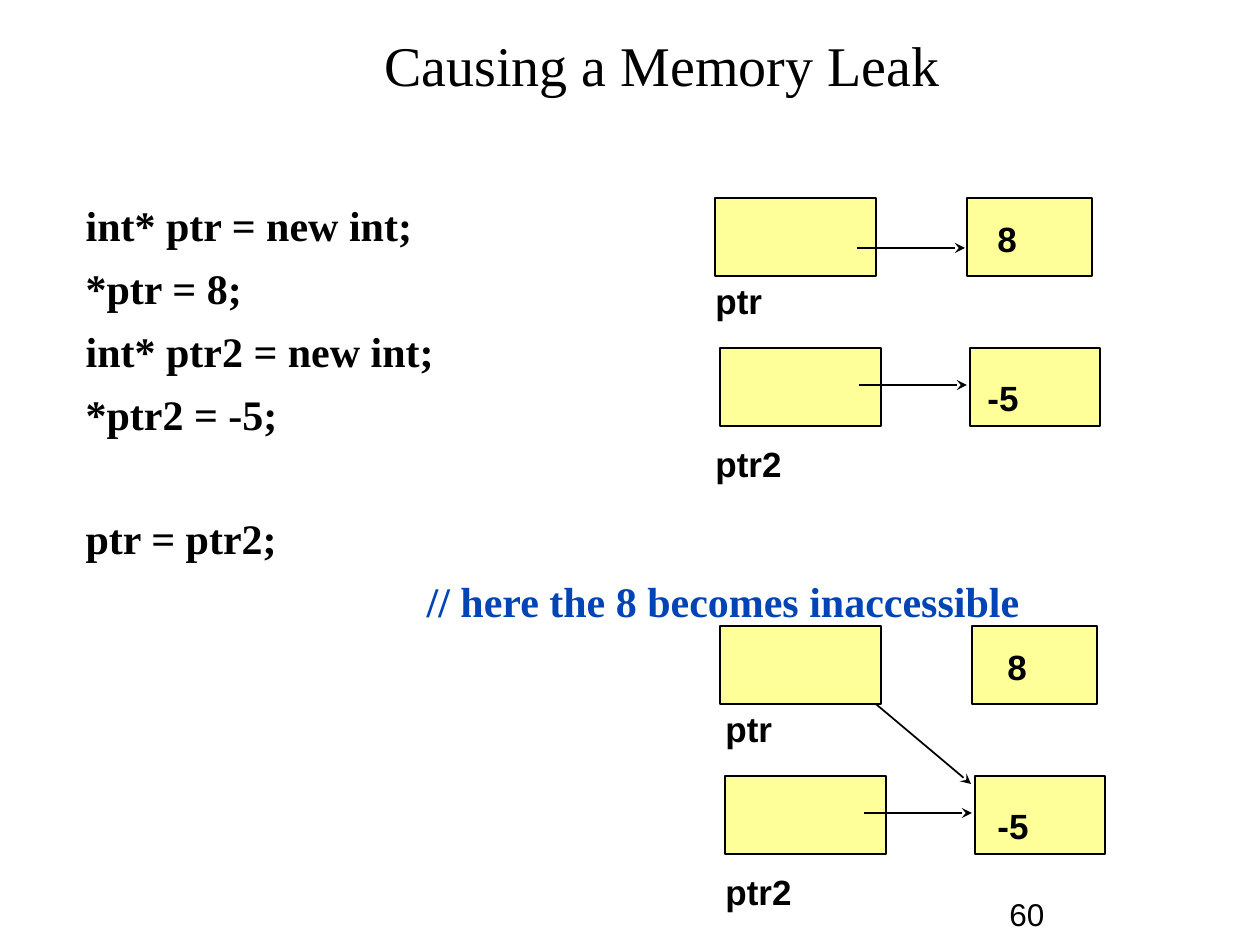
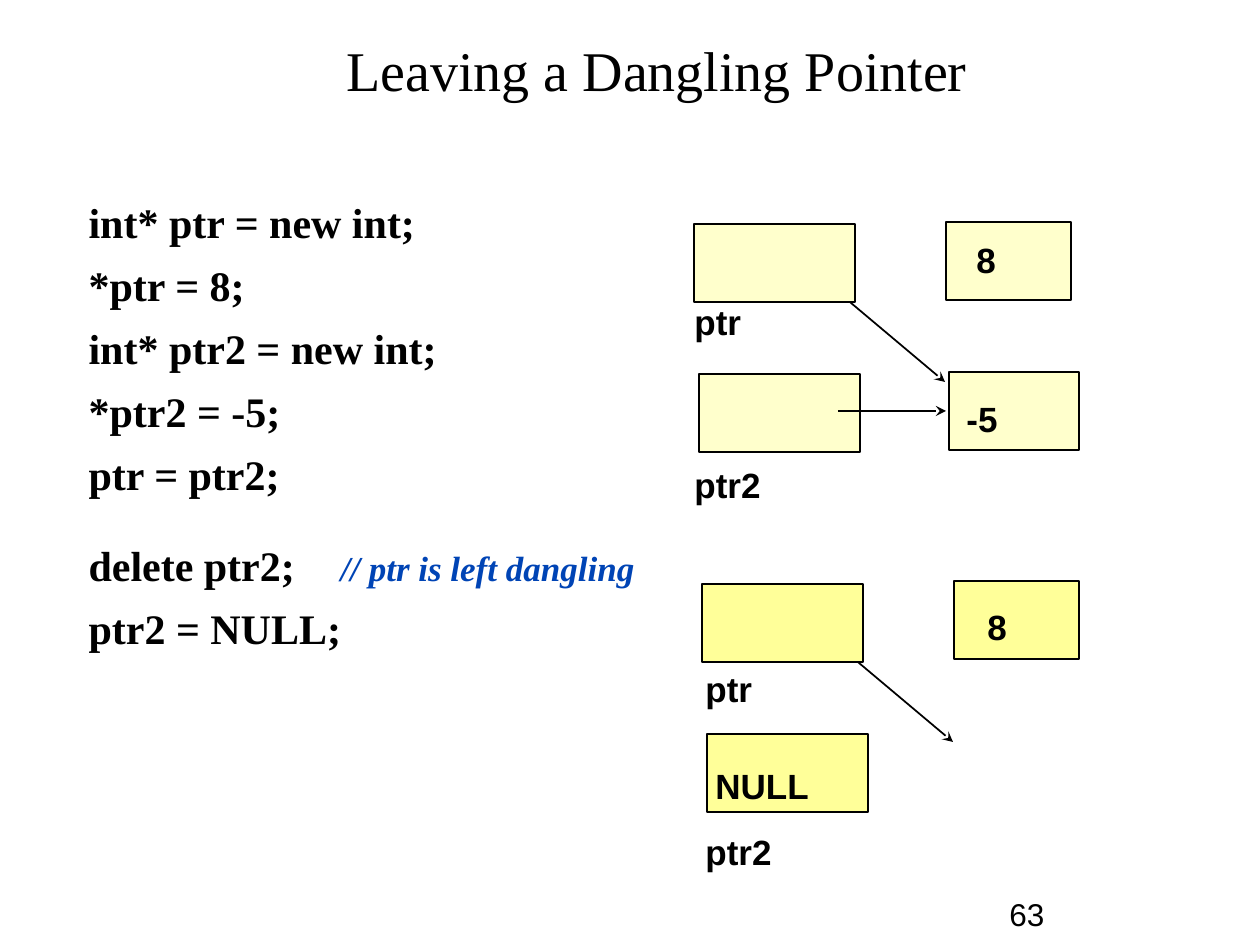
from pptx import Presentation
from pptx import util as u
from pptx.dml.color import RGBColor
from pptx.enum import shapes, text
from pptx.oxml.ns import qn
from lxml import etree

SCALE = 914400 / 126  # EMU in one px
BLACK = RGBColor(0, 0, 0)
BLUE = RGBColor(0x00, 0x44, 0xB5)
YELLOW = RGBColor(0xFF, 0xFF, 0x99)
PALE_YELLOW = RGBColor(0xFF, 0xFF, 0xCC)
SERIF, SANS = "Times New Roman", "Arial"

CELL_HEIGHT = 78
ROW_STEP = 150
CODE_GAP = 7.2
VALUE_INDENT = {"8": 292, "-5": 282, "NULL": 20}


def px(length):
    return u.Emu(round(length * SCALE))


def place(box, left, top, width, height):
    box.left, box.top = px(left), px(top)
    box.width, box.height = px(width), px(height)


def write(para, content, font=SERIF, size=24, color=BLACK, bold=False, italic=False):
    span = para.add_run()
    span.text = content
    span.font.name = font
    span.font.size = u.Pt(size)
    span.font.color.rgb = color
    span.font.bold = bold
    span.font.italic = italic


def add_para(frame, gap=0, indent=0, tab=None):
    """Open a paragraph without bullet; the first in a frame takes no gap."""
    first = not frame.paragraphs[0].runs
    para = frame.paragraphs[0] if first else frame.add_paragraph()
    props = para._p.get_or_add_pPr()
    props.set("marL", str(px(indent)))
    props.set("indent", "0")
    etree.SubElement(props, qn("a:buNone"))
    if tab:
        stops = etree.SubElement(props, qn("a:tabLst"))
        etree.SubElement(stops, qn("a:tab"), pos=str(px(tab)), algn="l")
    para.space_before = u.Pt(0 if first else gap)
    return para


def add_text_box(page, *area):
    box = page.shapes.add_textbox(0, 0, 0, 0)
    place(box, *area)
    box.text_frame.word_wrap = True
    return box.text_frame


def set_title(page, content, *area):
    title = page.shapes.title
    place(title, *area)
    frame = title.text_frame
    frame.auto_size = text.MSO_AUTO_SIZE.NONE
    frame.vertical_anchor = text.MSO_ANCHOR.MIDDLE
    para = frame.paragraphs[0]
    para.alignment = text.PP_ALIGN.CENTER
    write(para, content, size=32)


def code_frame(page, *area):
    body = page.placeholders[1]
    place(body, *area)
    body.text_frame.auto_size = text.MSO_AUTO_SIZE.NONE
    return body.text_frame


def add_code(frame, *lines, gap=CODE_GAP):
    """Write code lines; gap is the space before the first of them."""
    for line in lines:
        write(add_para(frame, gap), line, bold=True)
        gap = CODE_GAP


def add_page_number(page, number):
    frame = add_text_box(page, 997, 882, 262, 63)
    frame.vertical_anchor = text.MSO_ANCHOR.MIDDLE
    write(frame.paragraphs[0], str(number), font=SANS, size=18)


def add_cell(page, left, top, width, fill):
    cell = page.shapes.add_shape(shapes.MSO_SHAPE.RECTANGLE, 0, 0, 0, 0)
    place(cell, left, top, width, CELL_HEIGHT)
    cell.shadow.inherit = False
    cell.fill.solid()
    cell.fill.fore_color.rgb = fill
    cell.line.color.rgb = BLACK
    cell.line.width = u.Pt(1)


def add_arrow(page, *ends):
    arrow = page.shapes.add_connector(
        shapes.MSO_CONNECTOR.STRAIGHT, *(px(end) for end in ends))
    arrow.line.color.rgb = BLACK
    arrow.line.width = u.Pt(1)
    etree.SubElement(arrow.line._get_or_add_ln(), qn("a:tailEnd"), type="stealth")
    etree.SubElement(arrow._element.spPr, qn("a:effectLst"))


def add_memory(page, left, top, labels_at, fill=YELLOW, rise=0,
               reassigned=True, second="-5"):
    """Draw ptr and ptr2 with their targets; rise lifts the target cells."""
    if reassigned:
        add_arrow(page, left + 138, top + 63, left + 251, top + 158)
    add_cell(page, left, top, 161, fill)
    add_cell(page, left + 5, top + ROW_STEP, 161, fill)
    add_cell(page, left + 252, top - rise, 125, fill)
    if second != "NULL":
        add_cell(page, left + 255, top + ROW_STEP - rise, 130, fill)
        add_arrow(page, left + 144, top + 187, left + 252, top + 187)
    if not reassigned:
        add_arrow(page, left + 142, top + 50, left + 250, top + 50)

    frame = add_text_box(page, *labels_at, 400, 282)
    for content, gap in (("8", 0), ("ptr", 11.5), (second, 31.3), ("ptr2", 13.8)):
        para = add_para(frame, gap, VALUE_INDENT.get(content, 10))
        write(para, content, font=SANS, size=20, bold=True)


def build_memory_leak(page):
    set_title(page, "Causing a Memory Leak", 199, 32, 926, 64)
    frame = code_frame(page, 73, 193, 1074, 538)
    add_code(frame, "int* ptr = new int;", "*ptr = 8;",
             "int* ptr2 = new int;", "*ptr2 = -5;")
    add_code(frame, "ptr = ptr2;", gap=42)
    write(add_para(frame, CODE_GAP, indent=341),
          "// here the 8 becomes inaccessible", color=BLUE, bold=True)
    add_memory(page, 715, 198, (693, 211), reassigned=False)
    add_memory(page, 720, 626, (703, 639))
    add_page_number(page, 60)


def build_dangling_pointer(page):
    set_title(page, "Leaving a Dangling Pointer", 189, 32, 936, 74)
    frame = code_frame(page, 76, 190, 1111, 617)
    add_code(frame, "int* ptr = new int;", "*ptr = 8;",
             "int* ptr2 = new int;", "*ptr2 = -5;", "ptr = ptr2;")
    para = add_para(frame, gap=23.3, tab=247)
    write(para, "delete ptr2;\t", bold=True)
    write(para, "// ptr is left dangling", size=20, color=BLUE, bold=True, italic=True)
    add_code(frame, "ptr2 = NULL;")
    add_memory(page, 694, 224, (672, 232), fill=PALE_YELLOW, rise=2)
    add_memory(page, 702, 584, (683, 599), rise=3, second="NULL")
    add_page_number(page, 63)


def main():
    deck = Presentation()
    deck.slide_width, deck.slide_height = px(1260), px(945)
    for build in (build_memory_leak, build_dangling_pointer):
        build(deck.slides.add_slide(deck.slide_layouts[1]))
    deck.save("out.pptx")


if __name__ == "__main__":
    main()
